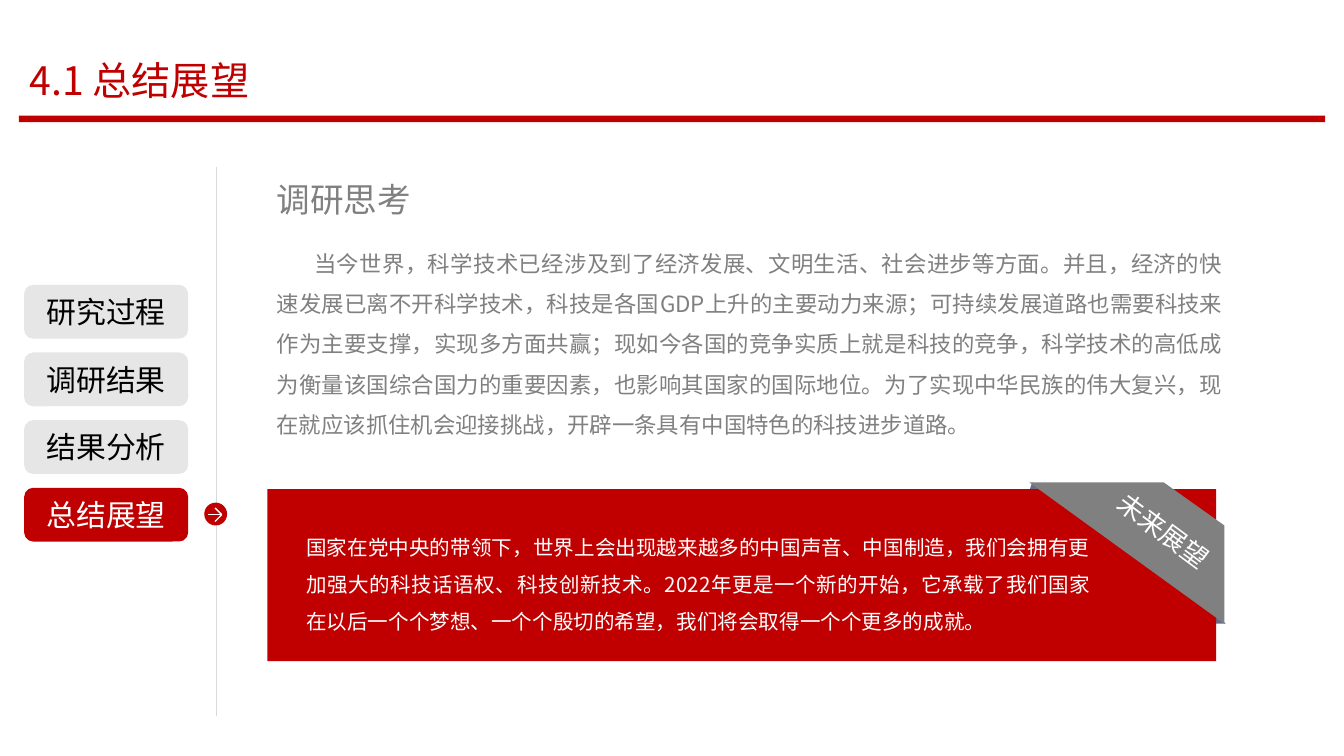
"""Build the summary and outlook slide with its section menu and banner."""
from lxml import etree
from pptx import Presentation
from pptx.dml.color import RGBColor
from pptx.enum.shapes import MSO_CONNECTOR, MSO_SHAPE
from pptx.enum.text import MSO_ANCHOR, PP_ALIGN
from pptx.oxml.ns import qn
from pptx.util import Inches, Pt

RECT, ROUND, OVAL = MSO_SHAPE.RECTANGLE, MSO_SHAPE.ROUNDED_RECTANGLE, MSO_SHAPE.OVAL
LEFT, CENTER, JUSTIFY = PP_ALIGN.LEFT, PP_ALIGN.CENTER, PP_ALIGN.JUSTIFY
TOP, MIDDLE = MSO_ANCHOR.TOP, MSO_ANCHOR.MIDDLE
STRAIGHT = MSO_CONNECTOR.STRAIGHT
FONT = "Noto Sans CJK SC"
COLORS = {
    "red": "C00000",
    "gray": "808080",
    "rule": "D9D9D9",
    "button": "E7E6E6",
    "fold": "686C86",
    "white": "FFFFFF",
    "black": "000000",
}


def rgb(name):
    return RGBColor.from_string(COLORS[name])


def write(sp, text, size, color, align=LEFT, anchor=TOP, spacing=None, indent=0):
    tf = sp.text_frame
    tf.word_wrap = True
    tf.vertical_anchor = anchor
    p = tf.paragraphs[0]
    p.alignment = align
    if spacing:
        p.line_spacing = spacing
    if indent:
        p._p.get_or_add_pPr().set("indent", str(Inches(indent)))
    r = p.add_run()
    r.text = text
    r.font.size = Pt(size)
    r.font.name = FONT
    r.font.color.rgb = rgb(color)
    etree.SubElement(r._r.get_or_add_rPr(), qn("a:ea"), typeface=FONT)


prs = Presentation()
prs.slide_width, prs.slide_height = Inches(10), Inches(10) * 9 // 16
s = prs.slides.add_slide(prs.slide_layouts[6])

solids = []
title_bar = [(0.14, 0.86), (9.86, 0.86), (9.86, 0.91), (0.14, 0.91)]
banner = [(1.99, 3.64), (9.05, 3.64), (9.05, 4.92), (1.99, 4.92)]
ribbon = [(7.66, 3.59), (9.11, 4.64), (9.11, 3.91), (8.66, 3.59)]
right_fold = [(9.12, 4.64), (9.01, 4.64), (9.01, 4.54)]
left_fold = [(7.68, 3.59), (7.66, 3.65), (7.78, 3.65)]
for points, color in [
    (title_bar, "red"),
    (right_fold, "fold"),
    (left_fold, "fold"),
    (banner, "red"),
    (ribbon, "gray"),
]:
    points = [(Inches(x), Inches(y)) for x, y in points]
    if color == "red":
        (left, top), (right, bottom) = points[0], points[2]
        sp = s.shapes.add_shape(RECT, left, top, right - left, bottom - top)
    else:
        builder = s.shapes.build_freeform(*points[0])
        builder.add_line_segments(points[1:], close=True)
        sp = builder.convert_to_shape()
    solids.append((sp, color))

menu = ["研究过程", "调研结果", "结果分析", "总结展望"]
pitch = (3.63 - 2.12) / 3
for i, label in enumerate(menu):
    active = i == len(menu) - 1
    sp = s.shapes.add_shape(ROUND, Inches(0.18), Inches(2.12 + i * pitch), Inches(1.22), Inches(0.4))
    write(sp, label, 16, "white" if active else "black", align=CENTER, anchor=MIDDLE)
    solids.append((sp, "red" if active else "button"))

lines = [((1.61, 1.24), (1.61, 5.33), "rule")]
arrow_tip = (1.65, 3.83)
for start in [(1.55, 3.83), (1.6, 3.88), (1.6, 3.78)]:
    lines.append((start, arrow_tip, "white"))
for i, (start, end, color) in enumerate(lines):
    if i == 1:
        sp = s.shapes.add_shape(OVAL, Inches(1.52), Inches(3.74), Inches(0.17), Inches(0.17))
        solids.append((sp, "red"))
    line = s.shapes.add_connector(STRAIGHT, *map(Inches, start + end))
    line.line.color.rgb = rgb(color)
    line.line.width = Pt(0.75)
    etree.SubElement(line._element.spPr, qn("a:effectLst"))

for sp, color in solids:
    sp.shadow.inherit = False
    sp.fill.solid()
    sp.fill.fore_color.rgb = rgb(color)
    sp.line.fill.background()

thoughts = (
    "当今世界，科学技术已经涉及到了经济发展、文明生活、社会进步等方面。"
    "并且，经济的快速发展已离不开科学技术，科技是各国GDP上升的主要动力来源；"
    "可持续发展道路也需要科技来作为主要支撑，实现多方面共赢；"
    "现如今各国的竞争实质上就是科技的竞争，科学技术的高低成为衡量该国综合国力的重要因素，"
    "也影响其国家的国际地位。为了实现中华民族的伟大复兴，"
    "现在就应该抓住机会迎接挑战，开辟一条具有中国特色的科技进步道路。"
)
outlook = (
    "国家在党中央的带领下，世界上会出现越来越多的中国声音、中国制造，"
    "我们会拥有更加强大的科技话语权、科技创新技术。"
    "2022年更是一个新的开始，它承载了我们国家在以后一个个梦想、一个个殷切的希望，"
    "我们将会取得一个个更多的成就。"
)
texts = [
    ((0.12, 0.37, 3.85, 0.45), 0, "4.1 总结展望", dict(size=21, color="red")),
    ((1.96, 1.28, 1.56, 0.4), 0, "调研思考", dict(size=18, color="gray")),
    ((1.96, 1.71, 7.24, 1.58), 0, thoughts,
     dict(size=12, color="gray", align=JUSTIFY, spacing=1.5, indent=0.28)),
    ((8.16, 3.8, 1.04, 0.34), 36.5, "未来展望", dict(size=14, color="white")),
    ((2.18, 3.84, 6.03, 0.9), 0, outlook,
     dict(size=11, color="white", align=JUSTIFY, spacing=1.5)),
]
for box, angle, text, style in texts:
    sp = s.shapes.add_textbox(*map(Inches, box))
    sp.rotation = angle
    write(sp, text, **style)

prs.save("out.pptx")
